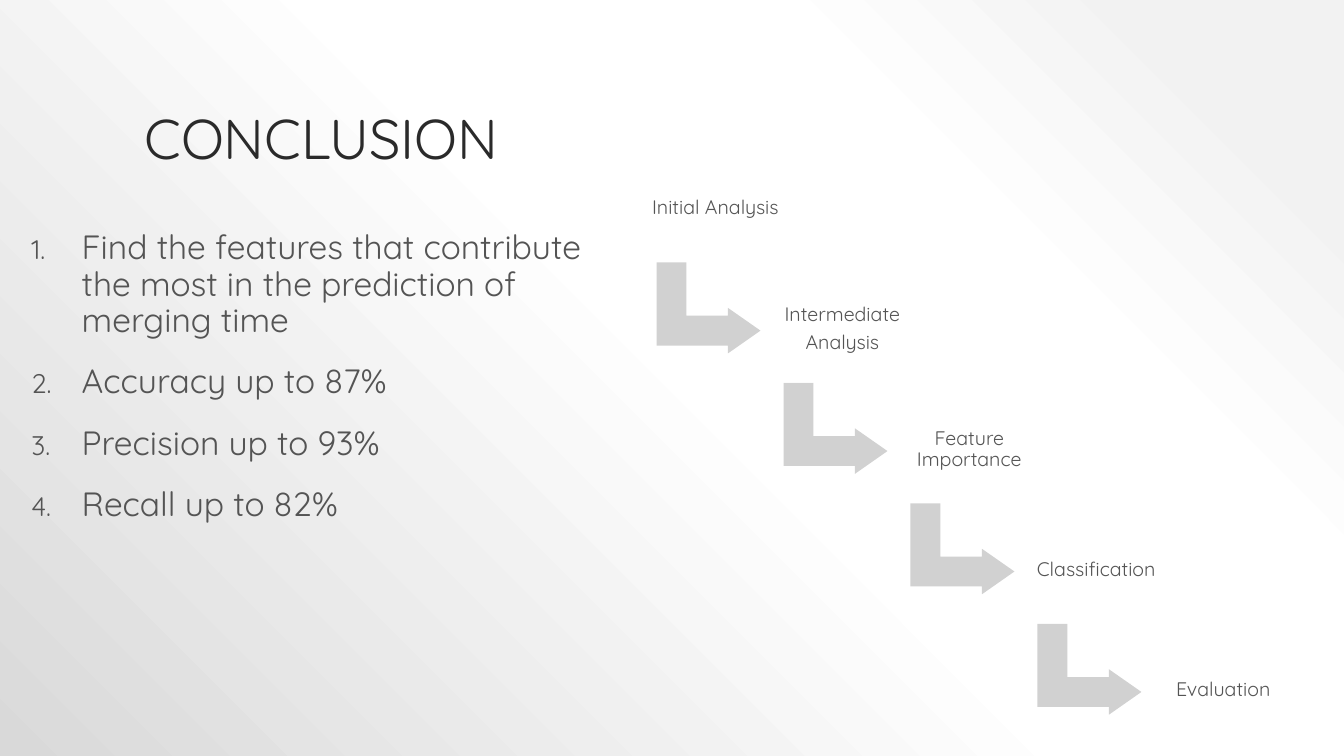
from lxml.etree import SubElement
from pptx import Presentation
from pptx.dml.color import RGBColor
from pptx.enum.shapes import MSO_SHAPE
from pptx.enum.text import MSO_ANCHOR, PP_ALIGN
from pptx.oxml import parse_xml
from pptx.oxml.ns import nsdecls, qn
from pptx.util import Cm, Pt

FONT = "Quicksand"
COLORS = {
    "title": "2A2A2A",
    "text": "545454",
    "arrow": "D1D1D1",
    "box": "FFFFFF",
    "corner": "F2F2F2",
    "middle": "FFFFFF",
    "edge": "D9D9D9",
}
STOPS = [(10, "corner"), (28, "middle"), (48, "middle"), (100, "edge")]
FINDINGS = [
    "Find the features that contribute the most in the prediction of merging time",
    "Accuracy up to 87%",
    "Precision up to 93%",
    "Recall up to 82%",
]
STEPS = [
    ["Initial Analysis"],
    ["Intermediate", "Analysis"],
    ["Feature Importance"],
    ["Classification"],
    ["Evaluation"],
]


def write(tf, lines, size, color="text", align=PP_ALIGN.LEFT,
          anchor=MSO_ANCHOR.TOP, before=0, after=0, inset=None):
    """Fill a text frame with one formatted paragraph per line."""
    tf.word_wrap = True
    tf.vertical_anchor = anchor
    if inset is not None:
        tf.margin_left = tf.margin_right = inset
        tf.margin_top = tf.margin_bottom = inset
    for i, line in enumerate(lines):
        p = tf.add_paragraph() if i else tf.paragraphs[0]
        p.alignment = align
        p.line_spacing = 0.9
        p.space_before, p.space_after = Pt(before), Pt(after)
        r = p.add_run()
        r.text = line
        r.font.name = FONT
        r.font.size = Pt(size)
        r.font.color.rgb = RGBColor.from_string(COLORS[color])


def number(p):
    """Give a paragraph a hanging automatic number."""
    pPr = p._p.get_or_add_pPr()
    pPr.set("marL", str(Cm(1.4)))
    pPr.set("indent", str(Cm(-1.27)))
    color = SubElement(pPr, qn("a:buClr"))
    SubElement(color, qn("a:srgbClr"), val=COLORS["text"])
    SubElement(pPr, qn("a:buSzPct"), val="80000")
    SubElement(pPr, qn("a:buFont"), typeface=FONT)
    SubElement(pPr, qn("a:buAutoNum"), type="arabicPeriod")


def add_block(shapes, kind, color, left, top, width, height):
    """Add a plain filled shape without line or shadow."""
    sp = shapes.add_shape(kind, left, top, width, height)
    sp.shadow.inherit = False
    sp.fill.solid()
    sp.fill.fore_color.rgb = RGBColor.from_string(COLORS[color])
    sp.line.fill.background()
    return sp


def paint_background(s):
    """Fill the background with a gradient centred on the top right corner."""
    stops = "".join(
        f'<a:gs pos="{pos * 1000}"><a:srgbClr val="{COLORS[name]}"/></a:gs>'
        for pos, name in STOPS)
    bg = parse_xml(
        f'<p:bg {nsdecls("p", "a")}><p:bgPr><a:gradFill rotWithShape="1">'
        f'<a:gsLst>{stops}</a:gsLst><a:path path="circle">'
        '<a:fillToRect l="100000" b="100000"/></a:path></a:gradFill>'
        '<a:effectLst/></p:bgPr></p:bg>')
    s._element.cSld.insert(0, bg)


def add_title(s, text, left, top, width, height):
    """Place and format the title placeholder."""
    sp = s.shapes.title
    sp.left, sp.top, sp.width, sp.height = left, top, width, height
    write(sp.text_frame, [text], 40, "title", anchor=MSO_ANCHOR.BOTTOM)


def add_findings(s, left, top, width, height):
    """Add the numbered list of findings."""
    tf = s.shapes.add_textbox(left, top, width, height).text_frame
    write(tf, FINDINGS, 24, before=18)
    for p in tf.paragraphs:
        number(p)


def add_staircase(s, left, top, width, height):
    """Add the descending steps, each joined to the next by a bent arrow."""
    shapes = s.shapes.add_group_shape().shapes
    box_w, box_h = Cm(3.86), Cm(2.69)
    gaps = len(STEPS) - 1
    dx, dy = (width - box_w) // gaps, (height - box_h) // gaps
    for i, lines in enumerate(STEPS):
        x, y = left + i * dx, top + i * dy
        if i < gaps:
            arrow = add_block(shapes, MSO_SHAPE.BENT_UP_ARROW, "arrow",
                              x + Cm(0.61), y + Cm(2.54), Cm(2.29), Cm(2.62))
            arrow.rotation = 90
            for k, value in enumerate((0.328, 0.25, 0.358)):
                arrow.adjustments[k] = value
        box = add_block(shapes, MSO_SHAPE.ROUNDED_RECTANGLE, "box",
                        x, y, box_w, box_h)
        write(box.text_frame, lines, 14, align=PP_ALIGN.CENTER,
              anchor=MSO_ANCHOR.MIDDLE, after=5, inset=Cm(0.15))


def main():
    """Build and save the conclusion slide."""
    prs = Presentation()
    prs.slide_width, prs.slide_height = Cm(33.87), Cm(19.05)
    s = prs.slides.add_slide(prs.slide_layouts[5])
    paint_background(s)
    add_title(s, "CONCLUSION", Cm(3.39), Cm(0.76), Cm(27.09), Cm(3.68))
    add_staircase(s, Cm(16.1), Cm(3.91), Cm(16.66), Cm(14.83))
    add_findings(s, Cm(0.41), Cm(5.69), Cm(15.88), Cm(12.07))
    prs.save("out.pptx")


if __name__ == "__main__":
    main()
